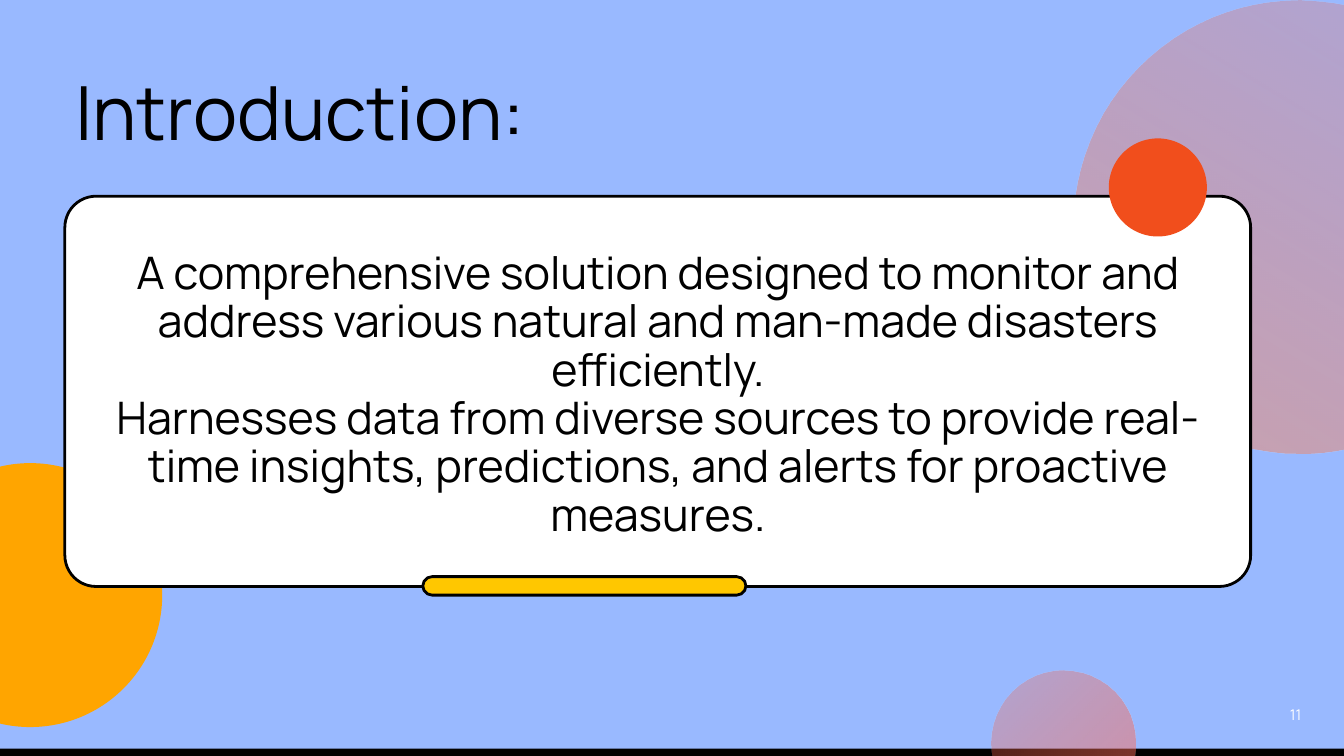
from math import acos, cos, degrees, radians, sin

from lxml import etree
from pptx import Presentation
from pptx.dml.color import RGBColor
from pptx.enum.shapes import MSO_SHAPE
from pptx.enum.text import MSO_ANCHOR, MSO_AUTO_SIZE, PP_ALIGN
from pptx.oxml.ns import qn
from pptx.util import Pt

RECT, OVAL, ROUNDED = MSO_SHAPE.RECTANGLE, MSO_SHAPE.OVAL, MSO_SHAPE.ROUNDED_RECTANGLE
LEFT, CENTER = PP_ALIGN.LEFT, PP_ALIGN.CENTER
TOP, NO_FIT = MSO_ANCHOR.TOP, MSO_AUTO_SIZE.NONE
W, H = 1440, 810
FONT = "Manrope"


def rgb(value):
    return RGBColor.from_string(value)


def write(sp, box, lines, size, spacing, color, align):
    sp.left, sp.top, sp.width, sp.height = [Pt(v) for v in box]
    tf = sp.text_frame
    tf.word_wrap = True
    tf.auto_size = NO_FIT
    tf.vertical_anchor = TOP
    tf.margin_left = tf.margin_top = tf.margin_right = tf.margin_bottom = 0
    for i, line in enumerate(lines):
        p = tf.add_paragraph() if i else tf.paragraphs[0]
        pPr = p._p.get_or_add_pPr()
        pPr.set("marL", "0")
        pPr.set("indent", "0")
        etree.SubElement(pPr, qn("a:buNone"))
        p.alignment = align
        p.line_spacing = Pt(spacing)
        p.space_before = Pt(0)
        r = p.add_run()
        r.text = line
        r.font.name = FONT
        r.font.size = Pt(size)
        r.font.color.rgb = rgb(color)


prs = Presentation()
prs.slide_width, prs.slide_height = Pt(W), Pt(H)
s = prs.slides.add_slide(prs.slide_layouts[1])
s.background.fill.solid()
s.background.fill.fore_color.rgb = rgb("99B9FF")
title, body = s.placeholders

bar = s.shapes.add_shape(RECT, 0, Pt(802), Pt(W), Pt(8))
bar.shadow.inherit = False
bar.fill.solid()
bar.fill.fore_color.rgb = rgb("000000")
bar.line.fill.background()

edge_circles = [
    (1392.5, 242.8, 242.6, 0, W - 1392.5, ["FC6645", "FF8B59"], 239),
    (32.4, 637.6, 141.4, 180, 32.4, ["FFA500"], None),
    (1139.4, 795.1, 77.2, 90, H - 795.1, ["FC6645", "FF6D59"], 315),
]
for cx, cy, radius, facing, distance, colors, angle in edge_circles:
    left, right = max(cx - radius, 0), min(cx + radius, W)
    top, bottom = max(cy - radius, 0), min(cy + radius, H)
    builder = s.shapes.build_freeform(Pt(left), Pt(top))
    builder.add_line_segments([(Pt(right), Pt(top)), (Pt(right), Pt(bottom)), (Pt(left), Pt(bottom))])
    sp = builder.convert_to_shape()

    half = degrees(acos(distance / radius))
    start = facing + half
    x = cx + radius * cos(radians(start)) - left
    y = cy + radius * sin(radians(start)) - top
    outline = next(sp.element.iter(qn("a:path")))
    for child in list(outline):
        outline.remove(child)
    move = etree.SubElement(outline, qn("a:moveTo"))
    etree.SubElement(move, qn("a:pt"), x=str(Pt(x)), y=str(Pt(y)))
    etree.SubElement(outline, qn("a:arcTo"), wR=str(Pt(radius)), hR=str(Pt(radius)),
                     stAng=str(round(start * 60000)), swAng=str(round((360 - 2 * half) * 60000)))
    etree.SubElement(outline, qn("a:close"))

    sp.shadow.inherit = False
    sp.line.fill.background()
    if angle is None:
        sp.fill.solid()
        sp.fill.fore_color.rgb = rgb(colors[0])
        continue
    sp.fill.gradient()
    sp.fill.gradient_angle = angle
    for stop, color in zip(sp.fill.gradient_stops, colors):
        stop.color.rgb = rgb(color)
    for clr, alpha in zip(sp.element.spPr.iter(qn("a:srgbClr")), ["25000", "50000"]):
        etree.SubElement(clr, qn("a:alpha"), val=alpha)

number = s.shapes.add_textbox(0, 0, 0, 0)
write(number, (1370.9, 756.7, 34.6, 19.4), ["11"], 15.8, 18.9, "FFFFFF", CENTER)

panels = [
    (ROUNDED, (69.5, 210.2, 1270.5, 418.2), "FFFFFF", 0.08),
    (ROUNDED, (453, 617.8, 346.2, 19.8), "FFC700", 0.5),
    (OVAL, (1188, 148.3, 105.1, 105.1), "F14E1C", None),
]
for kind, box, color, corner in panels:
    sp = s.shapes.add_shape(kind, *[Pt(v) for v in box])
    sp.shadow.inherit = False
    sp.fill.solid()
    sp.fill.fore_color.rgb = rgb(color)
    if corner is None:
        sp.line.fill.background()
    else:
        sp.adjustments[0] = corner
        sp.line.color.rgb = rgb("000000")
        sp.line.width = Pt(3)

write(body, (89.1, 267.8, 1231.9, 315.4), [
    "A comprehensive solution designed to monitor and address various natural and man-made disasters efficiently.",
    "Harnesses data from diverse sources to provide real-time insights, predictions, and alerts for proactive measures.",
], 48, 51.84, "000000", CENTER)
write(title, (80.6, 86, 564.5, 90), ["Introduction:"], 80, 80.8, "000000", LEFT)
for sp in (body, title):
    sp.element.getparent().append(sp.element)

prs.save("out.pptx")
